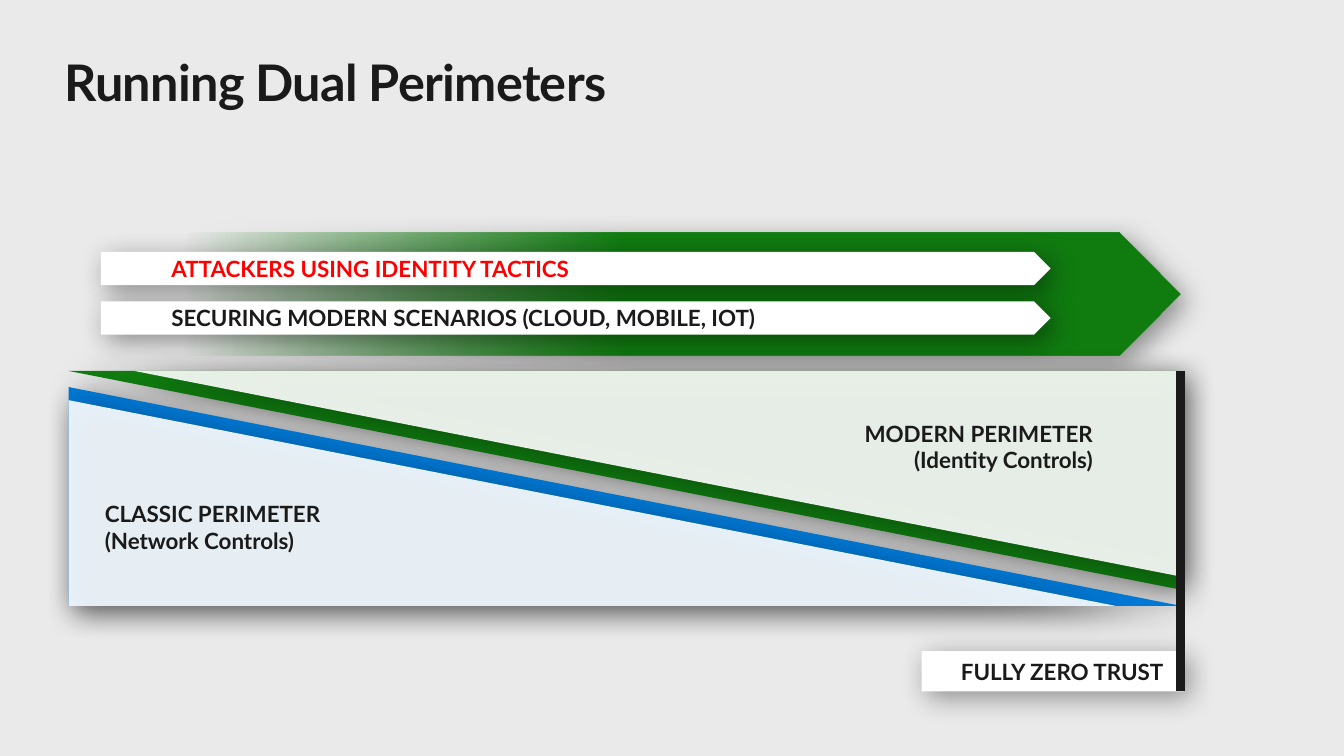
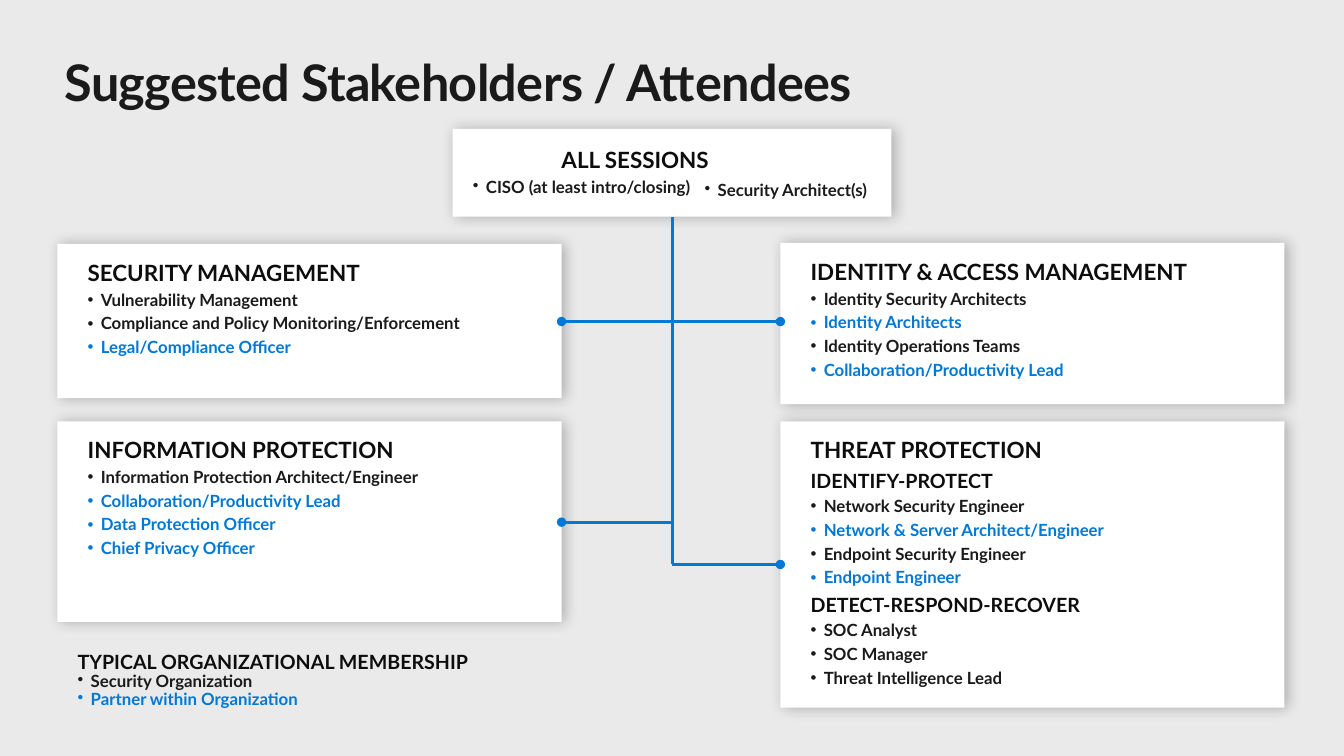
from dataclasses import dataclass
from typing import Any, NamedTuple, Optional

from pptx import Presentation
from pptx import util as u
from pptx.dml.color import RGBColor
from pptx.enum import shapes, text
from pptx.oxml import ns
from pptx.oxml.xmlchemy import OxmlElement

GRAY = RGBColor(0xEA, 0xEA, 0xEA)
DARK = RGBColor(0x1A, 0x1A, 0x1A)
INK = RGBColor(0x0D, 0x0D, 0x0D)
WHITE = RGBColor(0xFF, 0xFF, 0xFF)
RED = RGBColor(0xFF, 0x00, 0x00)
GREEN = RGBColor(0x10, 0x7C, 0x10)
BLUE = RGBColor(0x00, 0x78, 0xD4)
FONT = "Lato"
RIGHT = text.PP_ALIGN.RIGHT
MIDDLE = text.MSO_ANCHOR.MIDDLE
TOP = text.MSO_ANCHOR.TOP
RECT = shapes.MSO_SHAPE.RECTANGLE
ARROW = shapes.MSO_SHAPE.PENTAGON
TITLE_BOX = (0.64, 0.5, 12.05, 0.61)
LABEL_INSETS = (0.2, 0.16, 0.2, 0.16)
CARD_INSETS = (0.3, 0.15, 0.2, 0.15)

Box = tuple[float, float, float, float]
Point = tuple[float, float]


class Shadow(NamedTuple):
    alpha: int
    blur: int
    dist: int
    angle: int


DEEP = Shadow(40, 20, 6, 45)
SOFT = Shadow(25, 10, 2, 0)


@dataclass(frozen=True)
class Para:
    text: str
    size: int = 16
    color: RGBColor = DARK
    bullet: bool = False
    align: Any = text.PP_ALIGN.LEFT
    indent: float = 0
    after: int = 0
    spacing: float = 1.0


class Card(NamedTuple):
    box: Box
    paras: list[Para]


class Wedge(NamedTuple):
    points: list[Point]
    color: RGBColor
    alpha: Optional[int] = None


class Link(NamedTuple):
    start: Point
    end: Point
    head: bool = False
    tail: bool = False


def heading(words: str, size: int = 16, align: Any = text.PP_ALIGN.LEFT) -> Para:
    return Para(words, size, INK, align=align, after=4)


def item(words: str, color: RGBColor = DARK, after: int = 4) -> Para:
    return Para(words, 12, color, bullet=True, indent=0.13, after=after, spacing=0.9)


def partner(words: str, after: int = 4) -> Para:
    return item(words, BLUE, after)


def apply(target: Any, formats: dict[str, Any]) -> None:
    for name, value in formats.items():
        setattr(target, name, value)


def add_child(parent: Any, tag: str, **attrs: Any) -> Any:
    child = OxmlElement(tag)
    for name, value in attrs.items():
        child.set(name, str(value))
    parent.append(child)
    return child


def place(sp: Any, box: Box) -> None:
    apply(sp, dict(zip(("left", "top", "width", "height"), map(u.Inches, box))))


def write(sp: Any, paras: list[Para], anchor: Any = MIDDLE, insets: Box = LABEL_INSETS) -> None:
    tf = sp.text_frame
    sides = ("margin_left", "margin_top", "margin_right", "margin_bottom")
    apply(tf, {"word_wrap": True, "auto_size": text.MSO_AUTO_SIZE.NONE, "vertical_anchor": anchor,
               **dict(zip(sides, map(u.Inches, insets)))})
    for i, para in enumerate(paras):
        p = tf.paragraphs[0] if i == 0 else tf.add_paragraph()
        apply(p, {"alignment": para.align, "space_before": u.Pt(0), "space_after": u.Pt(para.after),
                  "line_spacing": para.spacing})
        pPr = p._p.get_or_add_pPr()
        pPr.set("marL", str(u.Inches(para.indent)))
        pPr.set("indent", str(-u.Inches(para.indent) if para.bullet else 0))
        if para.bullet:
            add_child(pPr, "a:buChar", char="•")
        else:
            add_child(pPr, "a:buNone")
        r = p.add_run()
        r.text = para.text
        apply(r.font, {"name": FONT, "size": u.Pt(para.size), "bold": True})
        r.font.color.rgb = para.color


def cast(sp: Any, shadow: Shadow) -> None:
    sp.shadow.inherit = False
    effects = sp._element.spPr.find(ns.qn("a:effectLst"))
    outer = add_child(effects, "a:outerShdw", blurRad=u.Pt(shadow.blur), dist=u.Pt(shadow.dist),
                      dir=shadow.angle * 60000, algn="ctr", rotWithShape=0)
    color = add_child(outer, "a:srgbClr", val="000000")
    add_child(color, "a:alpha", val=shadow.alpha * 1000)


def paint(sp: Any, color: RGBColor, shadow: Shadow, alpha: Optional[int] = None) -> None:
    sp.fill.solid()
    sp.fill.fore_color.rgb = color
    if alpha is not None:
        clr = sp._element.spPr.find(ns.qn("a:solidFill"))[0]
        add_child(clr, "a:alpha", val=alpha * 1000)
    sp.line.fill.background()
    cast(sp, shadow)


def add_box(s: Any, kind: Any, box: Box, shadow: Shadow, color: RGBColor = WHITE) -> Any:
    sp = s.shapes.add_shape(kind, *map(u.Inches, box))
    paint(sp, color, shadow)
    return sp


def add_text(s: Any, box: Box, paras: list[Para], insets: Box = LABEL_INSETS, anchor: Any = MIDDLE) -> None:
    write(s.shapes.add_textbox(*map(u.Inches, box)), paras, anchor, insets)


def add_wedge(s: Any, wedge: Wedge) -> None:
    first, *rest = [(u.Inches(x), u.Inches(y)) for x, y in wedge.points]
    builder = s.shapes.build_freeform(*first, scale=1.0)
    builder.add_line_segments(rest, close=True)
    paint(builder.convert_to_shape(), wedge.color, DEEP, wedge.alpha)


def add_line(s: Any, link: Link, color: RGBColor, width: float) -> None:
    line = s.shapes.add_connector(shapes.MSO_CONNECTOR.STRAIGHT, *map(u.Inches, link.start + link.end))
    line.line.color.rgb = color
    line.line.width = u.Pt(width)
    spPr = line._element.spPr
    ln = spPr.find(ns.qn("a:ln"))
    for tag, oval in (("a:headEnd", link.head), ("a:tailEnd", link.tail)):
        if oval:
            add_child(ln, tag, type="oval")
    add_child(spPr, "a:effectLst")


def add_slide(prs: Any, layout: int, title: str) -> Any:
    s = prs.slides.add_slide(prs.slide_layouts[layout])
    sp = s.shapes.title
    place(sp, TITLE_BOX)
    write(sp, [Para(title, 36)], insets=(0, 0, 0, 0))
    sp.text_frame.paragraphs[0].runs[0]._r.get_or_add_rPr().set("spc", "-50")
    return s


def build_perimeters(prs: Any) -> None:
    s = add_slide(prs, 5, "Running Dual Perimeters")
    left, right, top, bottom = 0.68, 11.71, 3.68, 6.01
    rise, inner_rise, inner_run = 2.17, 2.04, 10.38

    sp = add_box(s, ARROW, (1.53, 2.31, 10.18, 1.22), DEEP, GREEN)
    sp.fill.gradient()
    sp.fill.gradient_angle = 180
    for stop, position in zip(sp.fill.gradient_stops, (0.54, 0.97)):
        stop.position = position
        stop.color.rgb = GREEN
    clear = list(sp._element.spPr.iter(ns.qn("a:gs")))[-1][0]
    add_child(clear, "a:alpha", val=0)

    modern = [
        Wedge([(left, top), (right, top), (right, top + rise)], GREEN),
        Wedge([(right - inner_run, top), (right, top), (right, top + inner_rise)], WHITE, 90),
    ]
    classic = [
        Wedge([(right, bottom), (left, bottom), (left, bottom - rise)], BLUE),
        Wedge([(left + inner_run, bottom), (left, bottom), (left, bottom - inner_rise)], WHITE, 90),
    ]
    for wedge in modern + classic:
        add_wedge(s, wedge)
    add_text(s, (6.46, 4, 4.58, 0.86),
             [Para(t, align=RIGHT) for t in ("MODERN PERIMETER", "(Identity Controls)")])
    add_text(s, (0.84, 4.8, 4.74, 0.86), [Para(t) for t in ("CLASSIC PERIMETER", "(Network Controls)")])

    drivers = [
        ("ATTACKERS USING IDENTITY TACTICS", RED),
        ("SECURING MODERN SCENARIOS (CLOUD, MOBILE, IOT)", DARK),
    ]
    for i, (words, color) in enumerate(drivers):
        sp = add_box(s, ARROW, (1, 2.5 + 0.49 * i, 9.42, 0.33), DEEP)
        write(sp, [Para(words, color=color, indent=0.5)])

    sp = add_box(s, RECT, (9.14, 6.46, 2.6, 0.4), DEEP)
    write(sp, [Para("FULLY ZERO TRUST", align=RIGHT)])
    add_line(s, Link((right, top), (right, 6.86)), DARK, 6)


def build_stakeholders(prs: Any) -> None:
    s = add_slide(prs, 4, "Suggested Stakeholders / Attendees")
    left, right, width, row = 0.57, 7.74, 5, 4.18
    cards = [
        Card((left, 2.42, width, 1.53), [
            heading("SECURITY MANAGEMENT"),
            item("Vulnerability Management"),
            item("Compliance and Policy Monitoring/Enforcement"),
            partner("Legal/Compliance Officer"),
        ]),
        Card((left, row, width, 1.99), [
            heading("INFORMATION PROTECTION"),
            item("Information Protection Architect/Engineer"),
            partner("Collaboration/Productivity Lead"),
            partner("Data Protection Officer"),
            partner("Chief Privacy Officer"),
        ]),
        Card((right, 2.41, width, 1.6), [
            heading("IDENTITY & ACCESS MANAGEMENT"),
            item("Identity Security Architects"),
            partner("Identity Architects"),
            item("Identity Operations Teams"),
            partner("Collaboration/Productivity Lead"),
        ]),
        Card((right, row, width, 2.84), [
            heading("THREAT PROTECTION"),
            heading("IDENTIFY-PROTECT", 14),
            item("Network Security Engineer"),
            partner("Network & Server Architect/Engineer"),
            item("Endpoint Security Engineer"),
            partner("Endpoint Engineer"),
            heading("DETECT-RESPOND-RECOVER", 14),
            item("SOC Analyst"),
            item("SOC Manager"),
            item("Threat Intelligence Lead"),
        ]),
    ]
    bodies = [sp for sp in s.placeholders if sp.placeholder_format.idx > 0]
    for sp, card in zip(bodies, cards):
        place(sp, card.box)
        paint(sp, WHITE, SOFT)
        write(sp, card.paras, TOP, CARD_INSETS)

    add_text(s, (left, 6.37, width, 0.77), [
        Para("TYPICAL ORGANIZATIONAL MEMBERSHIP", 14, INK, spacing=0.9),
        item("Security Organization", after=0),
        partner("Partner within Organization", after=0),
    ])

    add_box(s, RECT, (4.49, 1.28, 4.35, 0.87), SOFT)
    add_text(s, (4.49, 1.17, 2.74, 1.07),
             [heading("ALL SESSIONS", align=RIGHT), item("CISO (at least intro/closing)")],
             (0.2, 0.2, 0.2, 0.2))
    add_text(s, (6.89, 1.76, 1.95, 0.28), [item("Security Architect(s)")], (0.1, 0.05, 0.1, 0.05), TOP)

    trunk, foot = 6.67, 5.6
    links = [
        Link((trunk, 2.15), (trunk, foot)),
        Link((left + width, 3.19), (right, 3.19), True, True),
        Link((left + width, 5.18), (trunk, 5.18), True),
        Link((right, foot), (trunk, foot), True),
    ]
    for link in links:
        add_line(s, link, BLUE, 2.25)


def main() -> None:
    prs = Presentation()
    apply(prs, {"slide_width": u.Inches(13.33), "slide_height": u.Inches(7.5)})
    fill = prs.slide_master.background.fill
    fill.solid()
    fill.fore_color.rgb = GRAY
    build_perimeters(prs)
    build_stakeholders(prs)
    prs.save("out.pptx")


if __name__ == "__main__":
    main()
